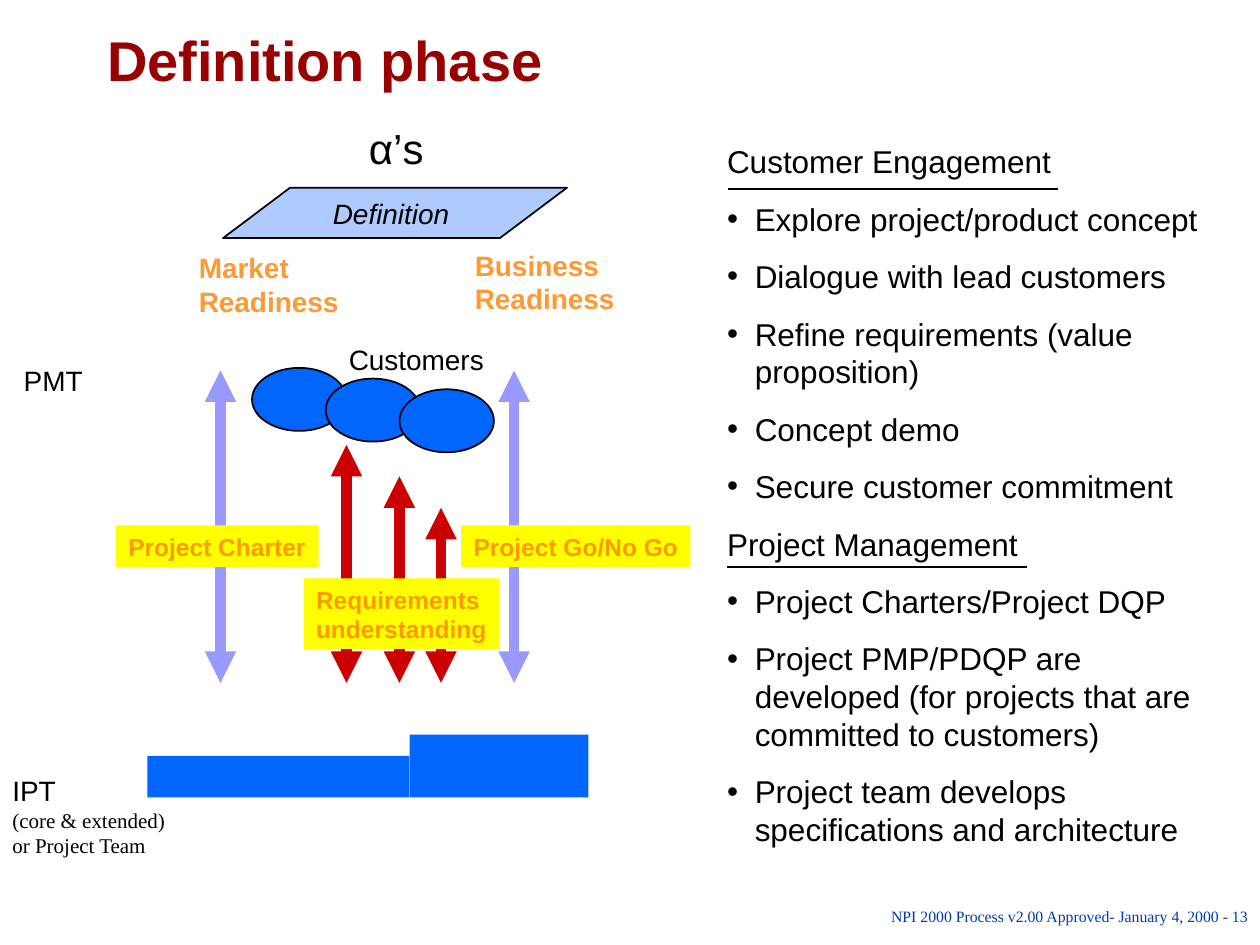
from dataclasses import dataclass

from lxml import etree
from pptx import Presentation
from pptx.dml.color import RGBColor
from pptx.enum.shapes import MSO_CONNECTOR, MSO_SHAPE
from pptx.enum.text import MSO_ANCHOR, MSO_AUTO_SIZE, PP_ALIGN
from pptx.oxml.ns import qn
from pptx.util import Inches, Pt

LEFT, CENTER, RIGHT = PP_ALIGN.LEFT, PP_ALIGN.CENTER, PP_ALIGN.RIGHT
TOP, MIDDLE = MSO_ANCHOR.TOP, MSO_ANCHOR.MIDDLE
NO_AUTOFIT = MSO_AUTO_SIZE.NONE
RECTANGLE, OVAL = MSO_SHAPE.RECTANGLE, MSO_SHAPE.OVAL
PARALLELOGRAM = MSO_SHAPE.PARALLELOGRAM
STRAIGHT = MSO_CONNECTOR.STRAIGHT


@dataclass(frozen=True)
class Style:
    size: int
    color: str
    name: str = "Arial"
    bold: bool = False
    italic: bool = False


@dataclass(frozen=True)
class Theme:
    black: str = "000000"
    blue: str = "0066FF"
    pale_blue: str = "AFCAFF"
    lilac: str = "9999FF"
    red: str = "CC0000"
    yellow: str = "FFFF00"
    title: Style = Style(32, "990000", bold=True)
    alpha: Style = Style(24, "000000")
    body: Style = Style(18, "000000")
    label: Style = Style(16, "000000")
    phase: Style = Style(16, "000000", italic=True)
    readiness: Style = Style(16, "FF9933", bold=True)
    deliverable: Style = Style(14, "FF9900", bold=True)
    note: Style = Style(12, "000000", "Times New Roman")
    footer: Style = Style(9, "003BB2", "Times New Roman")


THEME = Theme()


@dataclass(frozen=True)
class Box:
    left: float
    top: float
    width: float
    height: float

    def inner(self, left, top, width, height):
        return Box(self.left + left, self.top + top, width, height)

    def lengths(self):
        return [Inches(value) for value in (self.left, self.top, self.width, self.height)]


def apply_style(paragraph, style, alignment=LEFT):
    paragraph.alignment = alignment
    font = paragraph.font
    font.name, font.size = style.name, Pt(style.size)
    font.bold, font.italic = style.bold, style.italic
    font.color.rgb = RGBColor.from_string(style.color)


def write_lines(shape, lines, alignment=LEFT, wrap=False, anchor=TOP):
    frame = shape.text_frame
    frame.word_wrap = wrap
    frame.vertical_anchor = anchor
    frame.text = "\n".join(text for text, _ in lines)
    for paragraph, (_, style) in zip(frame.paragraphs, lines):
        apply_style(paragraph, style, alignment)


def add_text(slide, box, lines, alignment=LEFT, wrap=False):
    shape = slide.shapes.add_textbox(*box.lengths())
    write_lines(shape, lines, alignment, wrap)
    return shape


def add_block(slide, box, fill, preset=RECTANGLE, outlined=False):
    shape = slide.shapes.add_shape(preset, *box.lengths())
    shape.shadow.inherit = False
    shape.fill.solid()
    shape.fill.fore_color.rgb = RGBColor.from_string(fill)
    if outlined:
        shape.line.color.rgb = RGBColor.from_string(THEME.black)
        shape.line.width = Pt(1)
    else:
        shape.line.fill.background()
    return shape


def add_line(slide, start, end, color, width=1, arrows=False):
    points = [Inches(value) for value in (*start, *end)]
    connector = slide.shapes.add_connector(STRAIGHT, *points)
    connector.line.color.rgb = RGBColor.from_string(color)
    connector.line.width = Pt(width)
    if arrows:
        outline = connector.line._get_or_add_ln()
        for tag in ("a:headEnd", "a:tailEnd"):
            etree.SubElement(outline, qn(tag), type="triangle")
    etree.SubElement(connector._element.spPr, qn("a:effectLst"))


def place_placeholder(placeholder, box):
    placeholder.left, placeholder.top, placeholder.width, placeholder.height = box.lengths()


def build_title(slide, box):
    title = slide.shapes.title
    place_placeholder(title, box)
    write_lines(title, [("Definition phase", THEME.title)], wrap=True, anchor=MIDDLE)
    title.text_frame.auto_size = NO_AUTOFIT
    title.text_frame.paragraphs[0].line_spacing = 0.9


def build_phase(slide, box):
    add_text(slide, box.inner(1.35, 0, 0.63, 0.49), [("α’s", THEME.alpha)], CENTER)
    banner = add_block(slide, box.inner(0.29, 0.57, 2.73, 0.4), THEME.pale_blue, PARALLELOGRAM, True)
    banner.adjustments[0] = 1.33
    write_lines(banner, [("Definition ", THEME.phase)], CENTER, anchor=MIDDLE)
    for text, left, top, width in (
        ("Market Readiness", 0, 1.02, 1.46),
        ("Business Readiness", 2.19, 1, 1.61),
    ):
        add_text(slide, box.inner(left, top, width, 0.8), [(text, THEME.readiness)], wrap=True)


def build_interactions(slide, box):
    add_text(slide, box.inner(0, 0.17, 0.67, 0.36), [("PMT", THEME.label)])
    add_text(slide, box.inner(2.58, 0, 1.27, 0.36), [("Customers", THEME.label)])
    for index in range(3):
        customer = box.inner(1.91 + 0.585 * index, 0.25 + 0.085 * index, 0.75, 0.5)
        add_block(slide, customer, THEME.blue, OVAL, True)

    bottom = box.top + box.height
    for left, top, color in (
        (2.66, 0.86, THEME.red),
        (3.08, 1.11, THEME.red),
        (3.41, 1.36, THEME.red),
        (1.66, 0.27, THEME.lilac),
        (3.99, 0.27, THEME.lilac),
    ):
        x = box.left + left
        add_line(slide, (x, box.top + top), (x, bottom), color, 6, True)

    for lines, left, top, width, height in (
        (["Requirements", "understanding"], 2.32, 1.92, 1.55, 0.56),
        (["Project Go/No Go"], 3.57, 1.5, 1.82, 0.33),
        (["Project Charter"], 0.83, 1.5, 1.61, 0.33),
    ):
        deliverable = add_block(slide, box.inner(left, top, width, height), THEME.yellow)
        write_lines(deliverable, [(line, THEME.deliverable) for line in lines])


def build_team(slide, box):
    add_block(slide, box.inner(1.17, 0.17, 2.08, 0.33), THEME.blue)
    add_block(slide, box.inner(3.25, 0, 1.42, 0.5), THEME.blue)
    add_text(slide, box.inner(0, 0.26, 1.41, 0.76), [
        ("IPT", THEME.label),
        ("(core & extended)", THEME.note),
        ("or Project Team", THEME.note),
    ])


def build_activities(slide, box):
    sections = (
        ("Customer Engagement", [
            "Explore project/product concept",
            "Dialogue with lead customers",
            "Refine requirements (value proposition)",
            "Concept demo",
            "Secure customer commitment",
        ]),
        ("Project Management", [
            "Project Charters/Project DQP",
            "Project PMP/PDQP are developed (for projects that are committed to customers)",
            "Project team develops specifications and architecture",
        ]),
    )
    headings = [heading for heading, _ in sections]
    lines = [line for heading, items in sections for line in (heading, *items)]
    body = slide.placeholders[1]
    place_placeholder(body, box)
    write_lines(body, [(line, THEME.body) for line in lines], wrap=True)
    body.text_frame.auto_size = NO_AUTOFIT
    for paragraph in body.text_frame.paragraphs:
        paragraph.space_before = Pt(11.2)
        properties = paragraph._p.get_or_add_pPr()
        properties.set("marL", str(Inches(0.22)))
        properties.set("indent", str(-Inches(0.22)))
        if paragraph.text in headings:
            bullet = properties.makeelement(qn("a:buNone"))
        else:
            bullet = properties.makeelement(qn("a:buChar"), char="•")
        properties.find(qn("a:defRPr")).addprevious(bullet)

    for left, top, width in ((0.11, 0.42, 2.62), (0.1, 3.42, 2.38)):
        x, y = box.left + left, box.top + top
        add_line(slide, (x, y), (x + width, y), THEME.black)


def build_footer(slide, box):
    text = "NPI 2000 Process v2.00 Approved- January 4, 2000 - 13"
    footer = add_text(slide, box, [(text, THEME.footer)], RIGHT, wrap=True)
    footer.text_frame.margin_top = footer.text_frame.margin_bottom = 0


def main():
    presentation = Presentation()
    presentation.slide_width, presentation.slide_height = Inches(10), Inches(7.5)
    slide = presentation.slides.add_slide(presentation.slide_layouts[1])
    build_title(slide, Box(0.75, 0.25, 8.67, 0.5))
    build_phase(slide, Box(1.48, 0.92, 3.8, 1.9))
    build_interactions(slide, Box(0.09, 2.67, 5.39, 2.75))
    build_team(slide, Box(0, 5.83, 4.67, 1.02))
    build_activities(slide, Box(5.67, 1.08, 4.16, 5.7))
    build_footer(slide, Box(6.83, 7.2, 3.17, 0.32))
    presentation.save("out.pptx")


if __name__ == "__main__":
    main()
